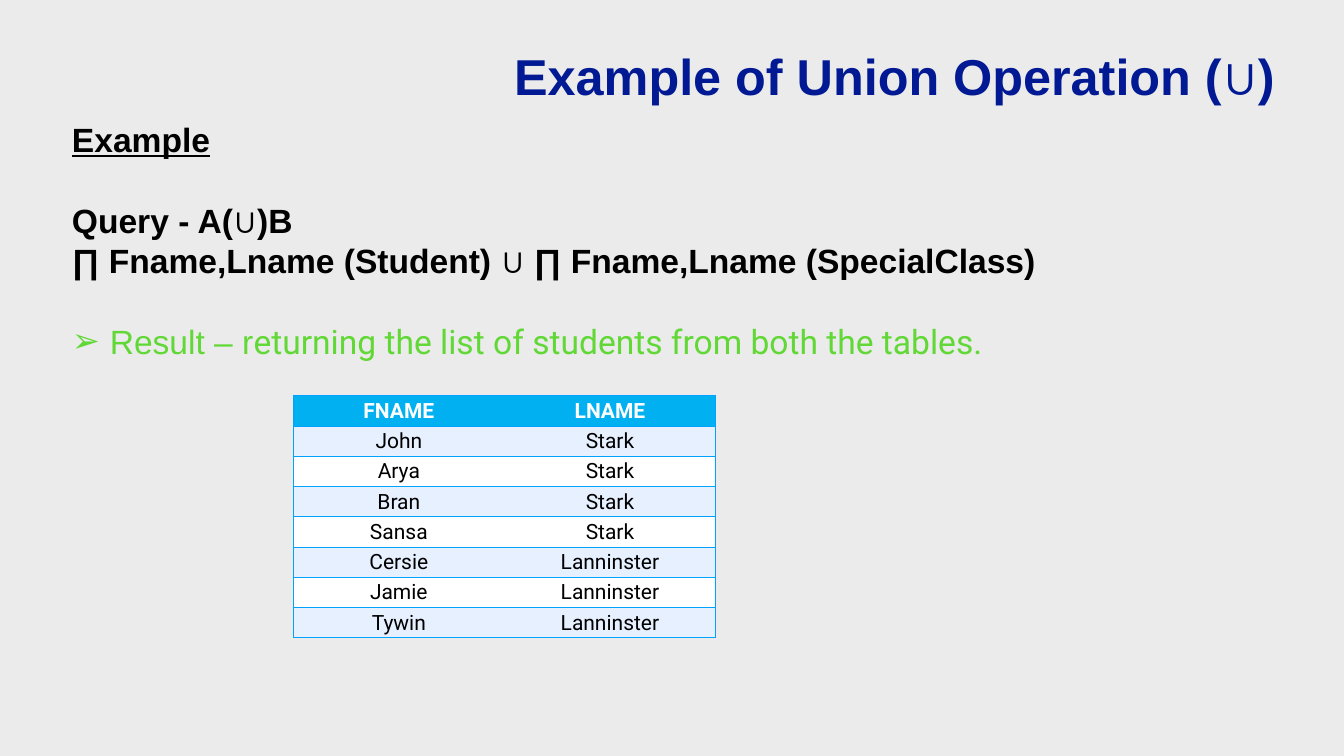
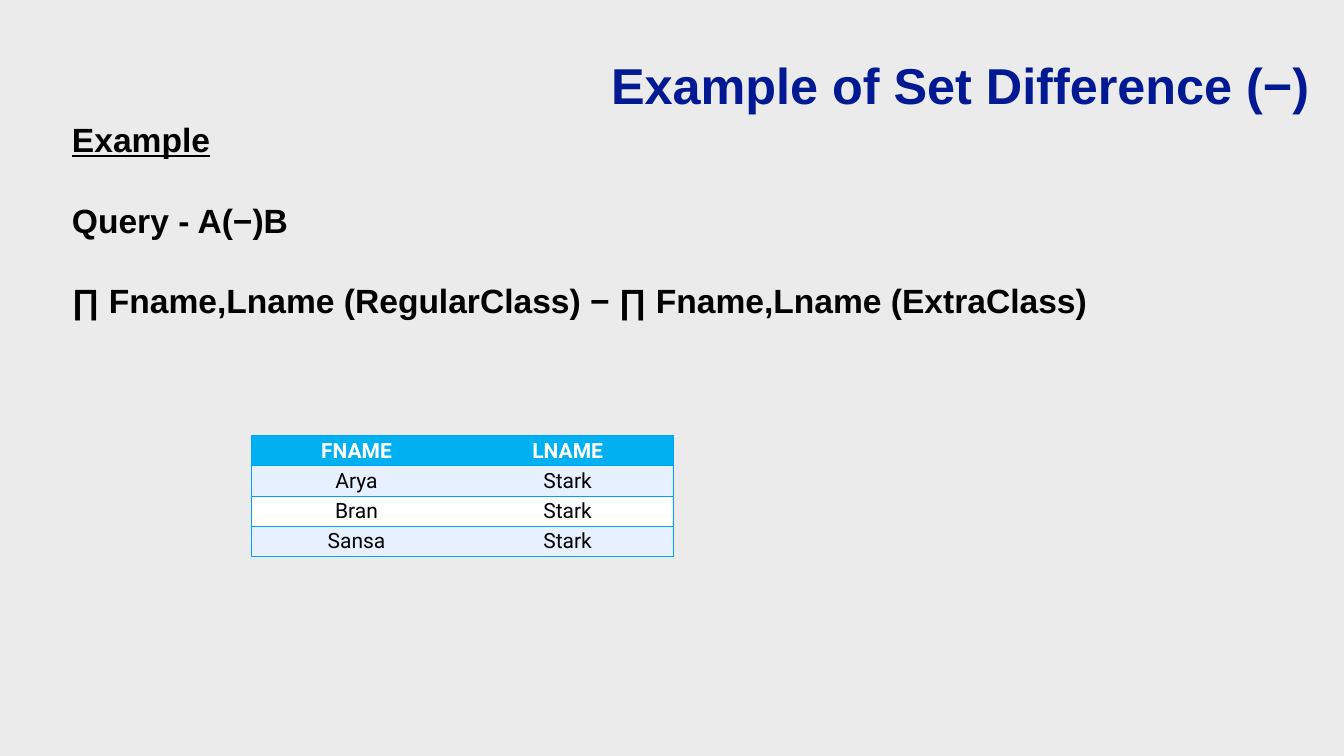
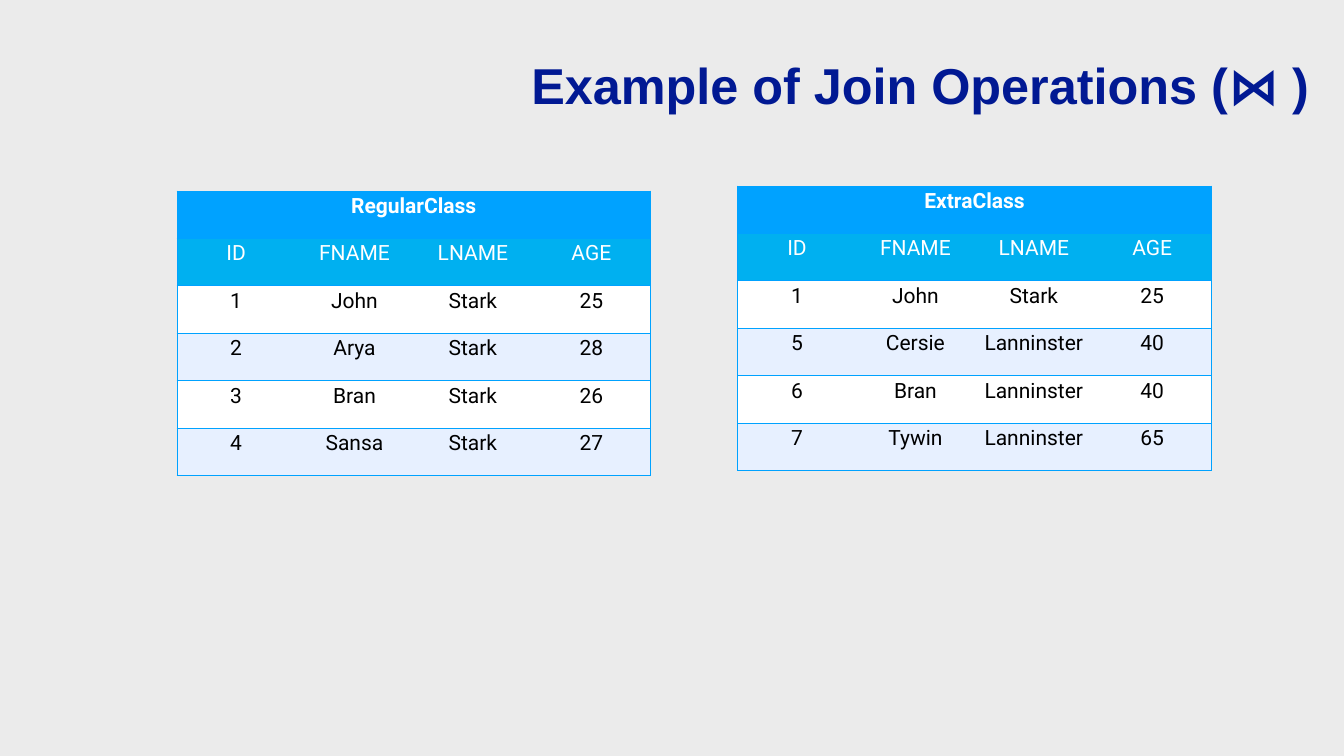
from dataclasses import dataclass

from lxml import etree
from pptx import Presentation
from pptx.dml.color import RGBColor
from pptx.enum.text import MSO_ANCHOR, PP_ALIGN
from pptx.oxml.ns import qn
from pptx.util import Pt

MIDDLE = MSO_ANCHOR.MIDDLE
CENTER = PP_ALIGN.CENTER
RIGHT = PP_ALIGN.RIGHT

PX = 9144  # EMU per px, 100 px to the inch
SLIDE_SIZE = (2667, 1500)
BODY_BOX = (133, 231, 2230, 495)
TITLE_BOX = (155, 101, 2450, 132)
TITLE_INSET = 6
BULLET_INDENT = 75
NO_STYLE = "{2D5ABB26-0587-4C30-8999-92F81FD0307C}"


@dataclass(frozen=True)
class Theme:
    background: str = "EBEBEB"
    title: str = "011993"
    text: str = "000000"
    result: str = "61D836"
    caption: str = "00A2FF"
    border: str = "00A2FF"
    header: str = "00B0F0"
    header_text: str = "FFFFFF"
    bands: tuple = ("FFFFFF", "E7F0FF")
    heading_font: str = "Arial"
    table_font: str = "Roboto"
    title_size: int = 72
    body_size: int = 48
    table_size: int = 30
    line_height: float = 1.2
    border_width: int = 1


THEME = Theme()

NAME_COLUMNS = ("FNAME", "LNAME")
CLASS_COLUMNS = ("ID", "FNAME", "LNAME", "AGE")

# Body lines are (text, blank lines above it).
SLIDES = [
    {
        "title": "Example of Union Operation (∪)",
        "title_box": (700, 83, 1837, 132),
        "body": [
            ("Example", 0),
            ("Query - A(∪)B", 1),
            ("∏ Fname,Lname (Student) ∪ ∏ Fname,Lname (SpecialClass)", 0),
        ],
        "result": ("Result – r", "eturning the list of students from both the tables."),
        "tables": [
            {
                "at": (582, 785), "cell": (419, 58), "columns": NAME_COLUMNS,
                "rows": [
                    ("John", "Stark"),
                    ("Arya", "Stark"),
                    ("Bran", "Stark"),
                    ("Sansa", "Stark"),
                    ("Cersie", "Lanninster"),
                    ("Jamie", "Lanninster"),
                    ("Tywin", "Lanninster"),
                ],
            },
        ],
    },
    {
        "title": "Example of Set Difference (−)",
        "body": [
            ("Example", 0),
            ("Query - A(−)B", 1),
            ("∏ Fname,Lname (RegularClass) − ∏ Fname,Lname (ExtraClass)", 1),
        ],
        "tables": [
            {
                "at": (498, 864), "cell": (419, 58), "columns": NAME_COLUMNS,
                "rows": [("Arya", "Stark"), ("Bran", "Stark"), ("Sansa", "Stark")],
            },
        ],
    },
    {
        "title": "Example of Join Operations (⋈ )",
        "tables": [
            {
                "at": (351, 379), "cell": (235, 94), "columns": CLASS_COLUMNS,
                "caption": "RegularClass",
                "rows": [
                    ("1", "John", "Stark", "25"),
                    ("2", "Arya", "Stark", "28"),
                    ("3", "Bran", "Stark", "26"),
                    ("4", "Sansa", "Stark", "27"),
                ],
            },
            {
                "at": (1464, 369), "cell": (235, 94), "columns": CLASS_COLUMNS,
                "caption": "ExtraClass",
                "rows": [
                    ("1", "John", "Stark", "25"),
                    ("5", "Cersie", "Lanninster", "40"),
                    ("6", "Bran", "Lanninster", "40"),
                    ("7", "Tywin", "Lanninster", "65"),
                ],
            },
        ],
    },
]


def emu(lengths):
    return [length * PX for length in lengths]


def style_font(font, name, size, color, bold=False):
    font.name = name
    font.size = Pt(size)
    font.bold = bold
    font.color.rgb = RGBColor.from_string(color)


def add_text_frame(slide, box):
    frame = slide.shapes.add_textbox(*emu(box)).text_frame
    frame.word_wrap = True
    return frame


def add_title(slide, text, box):
    frame = add_text_frame(slide, box)
    frame.vertical_anchor = MIDDLE
    frame.margin_left = frame.margin_right = TITLE_INSET * PX
    frame.margin_top = frame.margin_bottom = TITLE_INSET * PX
    paragraph = frame.paragraphs[0]
    paragraph.text = text
    paragraph.alignment = RIGHT
    style_font(paragraph.font, THEME.heading_font, THEME.title_size, THEME.title, True)


def set_bullet(paragraph, character):
    properties = paragraph._p.get_or_add_pPr()
    properties.set("marL", str(BULLET_INDENT * PX))
    properties.set("indent", str(-BULLET_INDENT * PX))
    etree.SubElement(properties, qn("a:buFont"), typeface=THEME.heading_font)
    etree.SubElement(properties, qn("a:buChar"), char=character)


def add_body(slide, lines, result):
    frame = add_text_frame(slide, BODY_BOX)
    pitch = THEME.body_size * THEME.line_height
    for index, (text, gap) in enumerate(lines):
        paragraph = frame.add_paragraph() if index else frame.paragraphs[0]
        paragraph.text = text
        paragraph.line_spacing = Pt(pitch)
        paragraph.space_before = Pt(gap * pitch)
        style_font(paragraph.font, THEME.heading_font, THEME.body_size, THEME.text, True)
        paragraph.font.underline = index == 0
    if result:
        paragraph = frame.add_paragraph()
        set_bullet(paragraph, "➢")
        paragraph.line_spacing = paragraph.space_before = Pt(pitch)
        for text, font_name in zip(result, (THEME.heading_font, THEME.table_font)):
            run = paragraph.add_run()
            run.text = text
            style_font(run.font, font_name, THEME.body_size, THEME.result)


def set_borders(cell, visible_sides):
    properties = cell._tc.get_or_add_tcPr()
    for side in "LRTB":
        line = etree.SubElement(properties, qn(f"a:ln{side}"))
        if side in visible_sides:
            line.set("w", str(Pt(THEME.border_width)))
            fill = etree.SubElement(line, qn("a:solidFill"))
            etree.SubElement(fill, qn("a:srgbClr"), val=THEME.border)
        else:
            etree.SubElement(line, qn("a:noFill"))


def fill_cell(cell, text, fill, color, bold):
    cell.fill.solid()
    cell.fill.fore_color.rgb = RGBColor.from_string(fill)
    paragraph = cell.text_frame.paragraphs[0]
    paragraph.text = text
    paragraph.alignment = CENTER
    paragraph.line_spacing = Pt(THEME.table_size * THEME.line_height)
    style_font(paragraph.font, THEME.table_font, THEME.table_size, color, bold)


def add_table(slide, at, cell, columns, rows, caption=None):
    """Add a ruled, banded table, with an optional caption row across the top."""
    header_rows = [columns]
    header_fills = [THEME.header]
    if caption:
        header_rows.insert(0, (caption,) + ("",) * (len(columns) - 1))
        header_fills.insert(0, THEME.caption)
    grid = header_rows + rows
    last = len(columns) - 1
    width, height = cell
    size = (width * len(columns), height * len(grid))
    frame = slide.shapes.add_table(len(grid), len(columns), *emu(at + size))
    table = frame.table
    table._tbl.tblPr.find(qn("a:tableStyleId")).text = NO_STYLE
    for row, texts in enumerate(grid):
        is_header = row < len(header_rows)
        fill = header_fills[row] if is_header else THEME.bands[row % 2]
        color = THEME.header_text if is_header else THEME.text
        for column, text in enumerate(texts):
            table_cell = table.cell(row, column)
            sides = "TB" + "L" * (column == 0) + "R" * (column == last)
            if caption and row == 0:
                sides = "LRTB"
            set_borders(table_cell, sides)
            fill_cell(table_cell, text, fill, color, row == 0)
    if caption:
        table.cell(0, 0).merge(table.cell(0, last))


def main():
    presentation = Presentation()
    presentation.slide_width, presentation.slide_height = emu(SLIDE_SIZE)
    blank_layout = presentation.slide_layouts[6]
    for content in SLIDES:
        slide = presentation.slides.add_slide(blank_layout)
        background = slide.background.fill
        background.solid()
        background.fore_color.rgb = RGBColor.from_string(THEME.background)
        if "body" in content:
            add_body(slide, content["body"], content.get("result"))
        add_title(slide, content["title"], content.get("title_box", TITLE_BOX))
        for table in content["tables"]:
            add_table(slide, **table)
    presentation.save("out.pptx")


if __name__ == "__main__":
    main()
